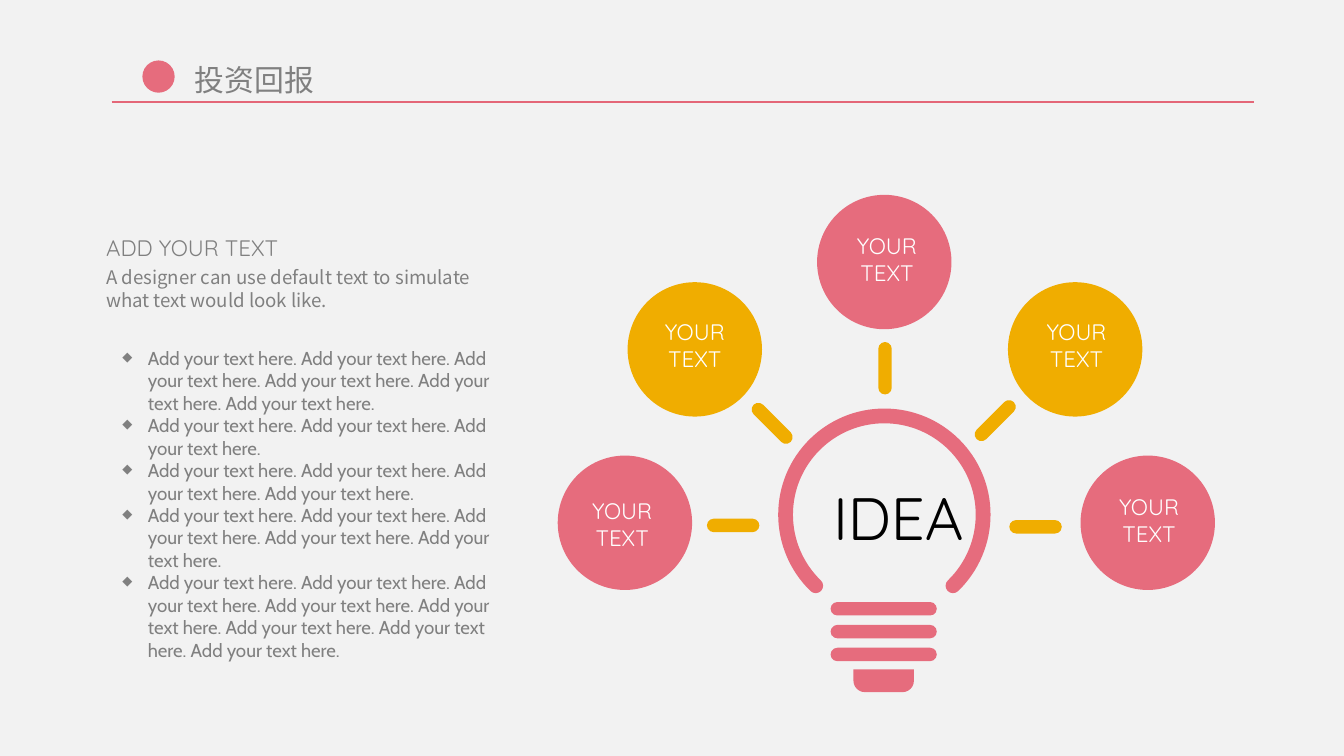
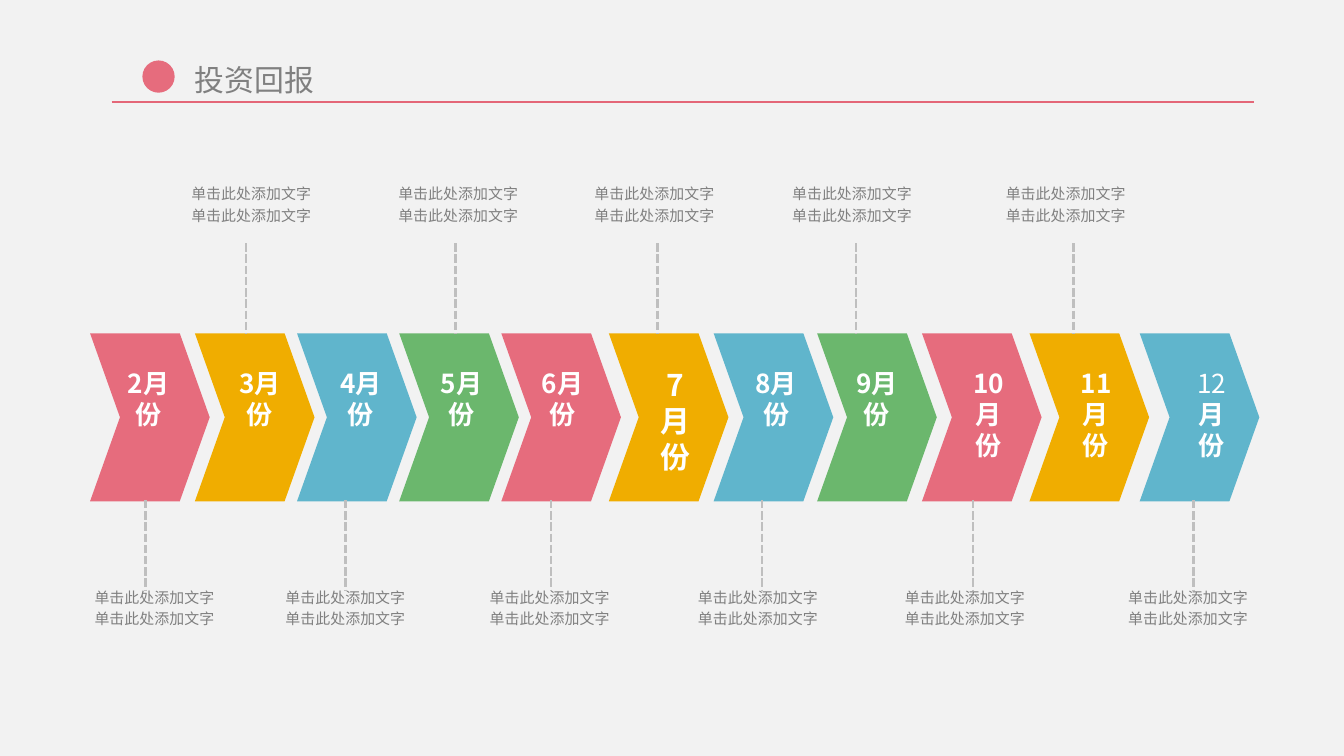
from math import cos, radians, sin, tan

from lxml.etree import SubElement
from pptx import Presentation
from pptx.dml.color import RGBColor
from pptx.enum.dml import MSO_LINE as Dash
from pptx.enum.shapes import MSO_CONNECTOR as Link, MSO_SHAPE as Kind
from pptx.enum.text import MSO_AUTO_SIZE as Fit, PP_ALIGN as Align
from pptx.oxml.ns import qn
from pptx.util import Inches, Pt

ROSE, GOLD, BLUE, GREEN = "E66C7D", "F0AD00", "60B5CC", "6BB76D"
RULE, GRAY, STEM, WHITE, BLACK, PAPER = "E46778", "808080", "BFBFBF", "FFFFFF", "000000", "F2F2F2"
HAN, SANS, THIN = "Noto Sans CJK SC", "Cabin", "Quicksand"


def tint(hue):
    return RGBColor.from_string(hue)


def plain(*rows):
    return [[(row, False)] for row in rows]


class Deck:
    def __init__(self, title):
        self.file = Presentation()
        self.file.slide_width = Inches(10)
        self.file.slide_height = Inches(10 * 9 / 16)
        fill = self.file.slide_master.background.fill
        fill.solid()
        fill.fore_color.rgb = tint(PAPER)
        self.base = self.file.slide_layouts[6]
        self.page()
        self.head(title)

    def page(self):
        self.slide = self.file.slides.add_slide(self.base)

    def head(self, title):
        self.text((1.38, 0.42, 1.96, 0.34), plain(title), 16)
        self.line((0.83, 0.76), (9.33, 0.76), RULE, 0.75)
        self.shape(Kind.OVAL, (1.06, 0.45, 0.24, 0.24), ROSE)
        tree = self.base.shapes._spTree
        for holder in list(self.base.placeholders):
            tree.remove(holder._element)
        for part in list(self.slide.shapes):
            tree.append(part._element)

    def paint(self, shape, hue):
        shape.shadow.inherit = False
        shape.fill.solid()
        shape.fill.fore_color.rgb = tint(hue)
        shape.line.fill.background()

    def shape(self, kind, box, hue, turn=0, bends=()):
        shape = self.slide.shapes.add_shape(kind, *map(Inches, box))
        self.paint(shape, hue)
        shape.rotation = turn
        for i, bend in enumerate(bends):
            shape.adjustments[i] = bend

    def pill(self, box, hue, turn=0):
        self.shape(Kind.ROUNDED_RECTANGLE, box, hue, turn, [0.5])

    def curve(self, points, hue):
        spots = [(Inches(x), Inches(y)) for x, y in points]
        pen = self.slide.shapes.build_freeform(*spots[0])
        pen.add_line_segments(spots[1:], close=True)
        shape = pen.convert_to_shape()
        self.paint(shape, hue)
        legs = list(shape._element.iter(qn("a:lnTo")))
        for i in range(0, len(legs) - 2, 3):
            bend = legs[i].makeelement(qn("a:cubicBezTo"))
            legs[i].addprevious(bend)
            for leg in legs[i:i + 3]:
                bend.append(leg[0])
                leg.getparent().remove(leg)

    def line(self, start, end, hue, width, dash=None):
        line = self.slide.shapes.add_connector(Link.STRAIGHT, *map(Inches, start + end))
        line.line.color.rgb = tint(hue)
        line.line.width = Pt(width)
        if dash:
            line.line.dash_style = dash
        SubElement(line._element.spPr, qn("a:effectLst"))

    def text(self, box, rows, size, hue=GRAY, font=HAN, align=Align.LEFT,
             wrap=True, space=None, mark=None):
        frame = self.slide.shapes.add_textbox(*map(Inches, box)).text_frame
        frame.word_wrap = wrap
        frame.auto_size = Fit.SHAPE_TO_FIT_TEXT
        frame.margin_left = frame.margin_right = Inches(0.07)
        frame.margin_top = frame.margin_bottom = Inches(0.04)
        for i, row in enumerate(rows):
            para = frame.add_paragraph() if i else frame.paragraphs[0]
            para.alignment = align
            if space:
                para.line_spacing = space
            if mark:
                props = para._p.get_or_add_pPr()
                props.set("marL", str(Inches(0.19)))
                props.set("indent", str(-Inches(0.19)))
                SubElement(props, qn("a:buSzPct")).set("val", "70000")
                SubElement(props, qn("a:buChar")).set("char", mark)
            for words, bold in row:
                run = para.add_run()
                run.text = words
                run.font.size = Pt(size)
                run.font.bold = bold
                run.font.color.rgb = tint(hue)
                run.font.name = font
                SubElement(run._r.get_or_add_rPr(), qn("a:ea")).set("typeface", font)


def arc(x, y, radius, turns):
    points = []
    for a, b in zip(map(radians, turns), map(radians, turns[1:])):
        k = 4 / 3 * tan((b - a) / 4)
        points += [
            (x + radius * (cos(a) - k * sin(a)), y + radius * (sin(a) + k * cos(a))),
            (x + radius * (cos(b) + k * sin(b)), y + radius * (sin(b) - k * cos(b))),
            (x + radius * cos(b), y + radius * sin(b)),
        ]
    return points


def ring(x, y, inner, outer, turns):
    mid, cap = (inner + outer) / 2, (outer - inner) / 2

    def tip(turn, first):
        a = radians(turn)
        return arc(x + mid * cos(a), y + mid * sin(a), cap, [first, first + 90, first + 180])

    start, end = turns[0], turns[-1]
    points = (arc(x, y, outer, turns) + tip(end, end)
              + arc(x, y, inner, turns[::-1]) + tip(start, start + 180))
    return points[-1:] + points


def idea(deck):
    balls = [
        (4.15, 3.39, ROSE, 4.31, 3.66),
        (4.67, 2.1, GOLD, 4.85, 2.33),
        (6.08, 1.45, ROSE, 6.28, 1.69),
        (7.5, 2.1, GOLD, 7.69, 2.33),
        (8.04, 3.39, ROSE, 8.23, 3.63),
    ]
    for x, y, hue, left, top in balls:
        deck.shape(Kind.OVAL, (x, y, 1, 1), hue)
        deck.text((left, top, 0.64, 0.48), plain("YOUR", "TEXT"), 12, WHITE, THIN,
                  Align.CENTER, wrap=False)

    for i in range(3):
        deck.pill((6.18, 4.48 + 0.17 * i, 0.79, 0.1), ROSE)
    deck.shape(Kind.ROUND_2_SAME_RECTANGLE, (6.35, 4.98, 0.45, 0.17), ROSE, 180, [0.5, 0])
    deck.curve(ring(6.58, 3.83, 0.68, 0.79, [134, 180, 270, 360, 406]), ROSE)

    rays = [(5.26, 3.86, 0), (5.55, 3.1, 45), (6.39, 2.69, 90), (7.21, 3.08, 315), (7.51, 3.87, 0)]
    for x, y, turn in rays:
        deck.pill((x, y, 0.39, 0.1), GOLD, turn)

    deck.text((5.99, 3.54, 1.25, 0.61), plain("IDEA"), 32, BLACK, THIN, Align.RIGHT, wrap=False)
    deck.text((0.72, 1.7, 1.71, 0.28), plain("ADD YOUR TEXT"), 12, font=THIN)
    deck.text((0.72, 1.94, 3.08, 0.41), plain(
        "A designer can use default text to simulate what text would look like."), 10)
    rows = [" ".join(["Add your text here."] * n) for n in (6, 3, 4, 5, 8)]
    deck.text((0.84, 2.54, 3.08, 2.43), plain(*rows), 10, font=SANS, mark="◆")


def months(deck):
    deck.page()
    hues = [ROSE, GOLD, BLUE, GREEN]
    steps = [
        (0.67, 0.88, 1.08, 0.41),
        (1.45, 1.71, 1.83, 1.13),
        (2.21, 2.46, 2.57, 1.83),
        (2.97, 3.21, 3.39, 2.67),
        (3.73, 3.96, 4.1, 3.35),
        (4.53, 4.8, 4.89, 4.13),
        (5.31, 5.55, 5.67, 4.9),
        (6.08, 6.3, 6.37, 5.6),
        (6.86, 7.13, 7.24, 6.44),
        (7.66, 7.93, 7.99, 7.19),
        (8.48, 8.79, 8.88, 8.1),
    ]
    for i, (x, label, stem, note) in enumerate(steps):
        month = i + 2
        deck.shape(Kind.CHEVRON, (x, 2.48, 0.89, 1.25), hues[i % 4], bends=[0.25])
        if month == 12:
            name = [("12", False), ("月份", True)]
        else:
            name = [(f"{month}月份", True)]
        size, tall = (16, 0.88) if month == 7 else (14, 0.78)
        deck.text((label, 2.69, 0.45, tall), [name], size, WHITE, align=Align.CENTER)
        top, base = (1.81, 1.31) if i % 2 else (3.72, 4.31)
        deck.line((stem, top), (stem, top + 0.67), STEM, 1.5, Dash.SQUARE_DOT)
        deck.text((note, base, 1.48, 0.4), plain(*["单击此处添加文字"] * 2), 8,
                  align=Align.CENTER, space=1.2)


def main():
    deck = Deck("投资回报")
    idea(deck)
    months(deck)
    deck.file.save("out.pptx")


if __name__ == "__main__":
    main()
